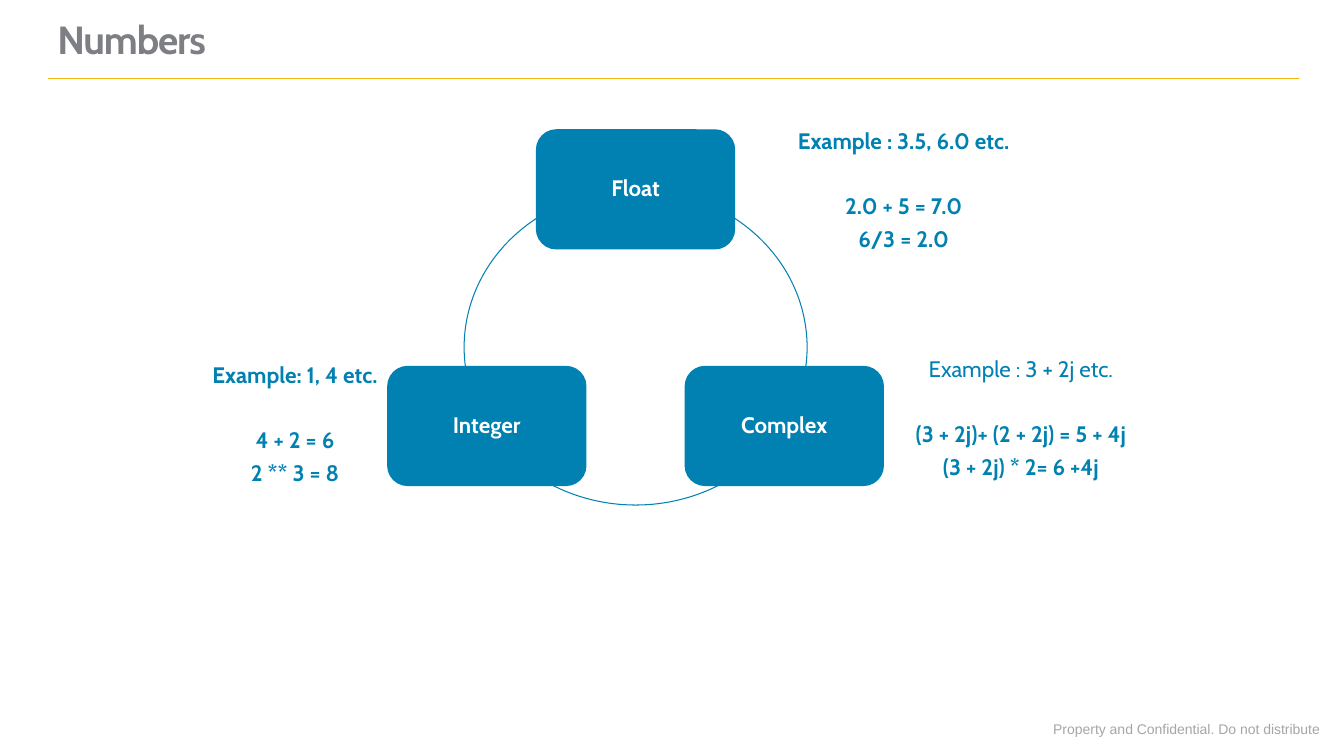
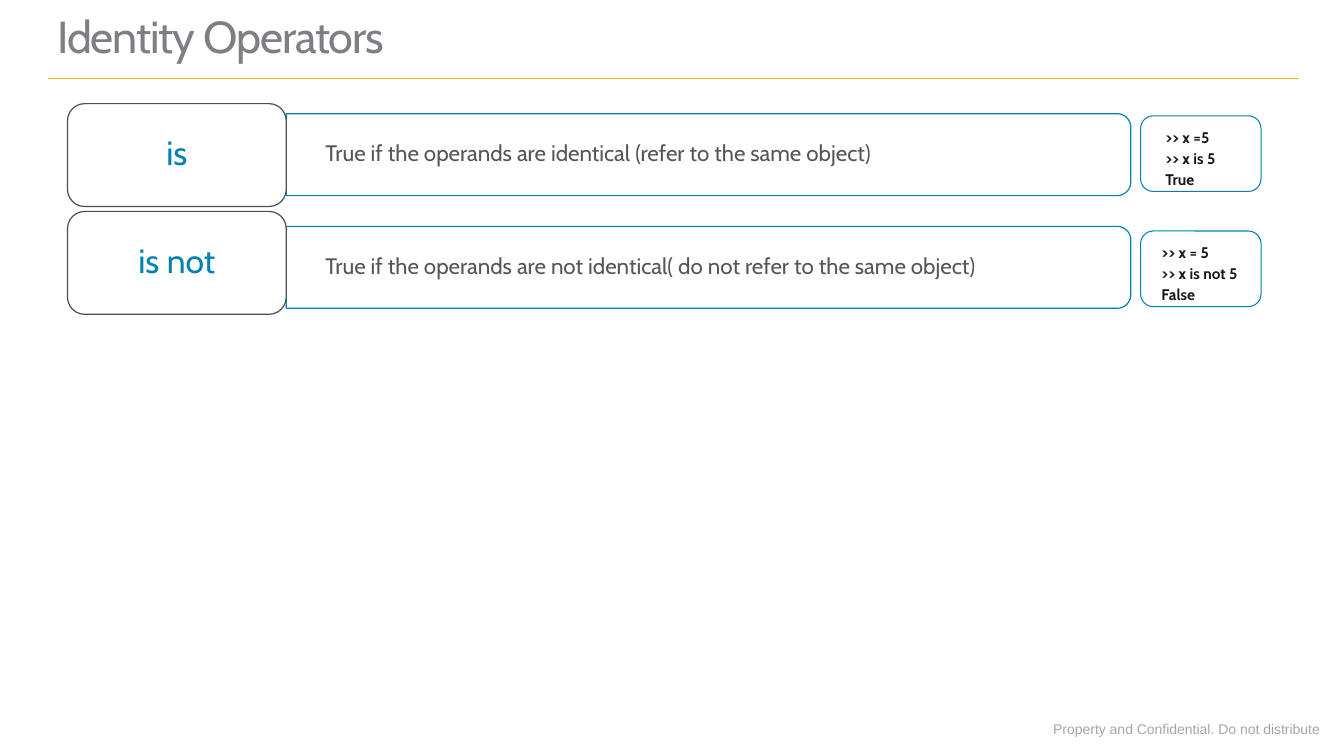
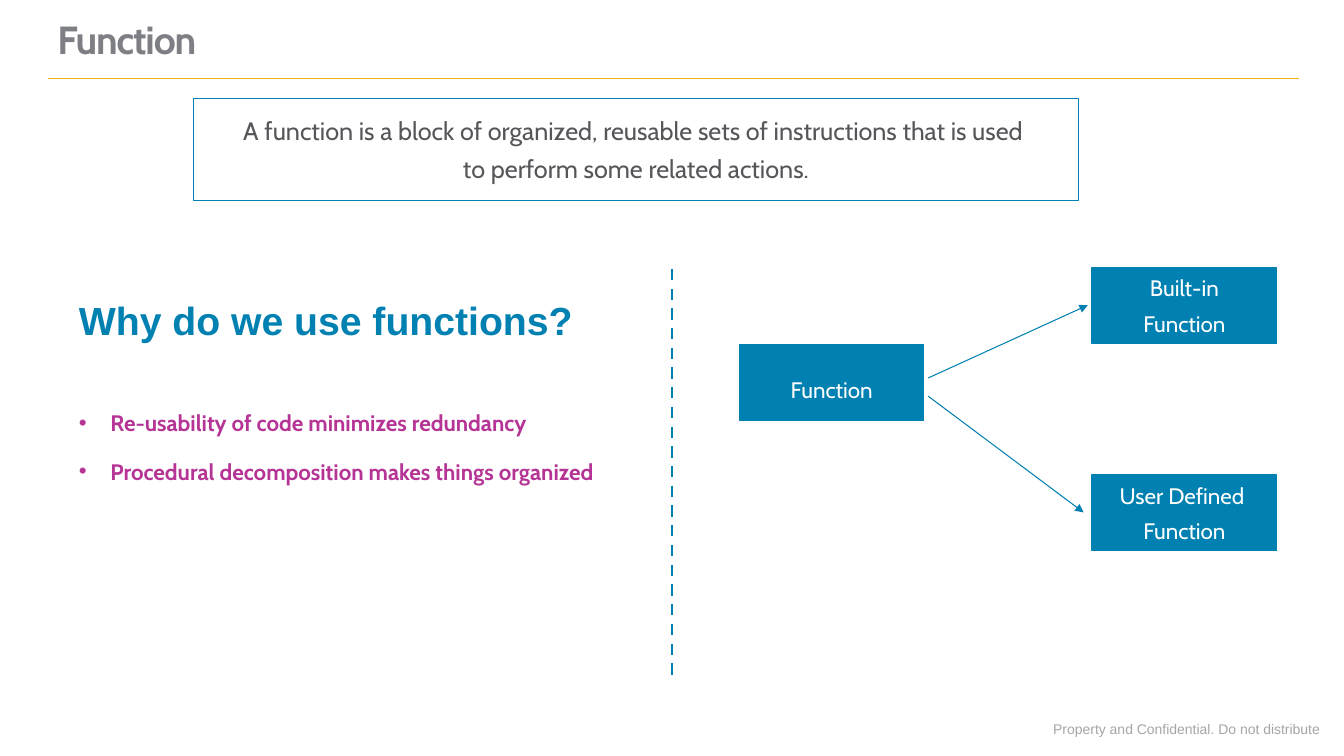
"""Build three slides on Python numbers, identity operators and functions."""
import math

import pptx
import pptx.dml.color
import pptx.enum.dml
import pptx.enum.shapes
import pptx.enum.text
import pptx.oxml.ns
import pptx.util
from lxml import etree

Pt = pptx.util.Pt
SHAPE = pptx.enum.shapes.MSO_SHAPE
ALIGN = pptx.enum.text.PP_ALIGN
ANCHOR = pptx.enum.text.MSO_ANCHOR
qn = pptx.oxml.ns.qn

BLUE, WHITE, GREY, TITLE = "0181B2", "FFFFFF", "55565A", "7E7F85"
GOLD, DARK, BLACK, PURPLE, FOOTER = "F2B411", "4D4E52", "171717", "B53495", "A6A6A6"
PAD = (14.4, 11.5, 14.4, 11.5)


def rgb(color):
    return pptx.dml.color.RGBColor.from_string(color)


def points(*values):
    return [Pt(v) for v in values]


def frame(shape, anchor=ANCHOR.TOP, pad=PAD, wrap=True):
    tf = shape.text_frame
    tf.auto_size = pptx.enum.text.MSO_AUTO_SIZE.NONE
    tf.word_wrap = wrap
    tf.vertical_anchor = anchor
    tf.margin_left, tf.margin_top, tf.margin_right, tf.margin_bottom = points(*pad)
    return tf


def para(tf, text, size, color, bold=False, font="Cabin", align=ALIGN.LEFT,
         spacing=0.9, before=0, after=0):
    p = tf.paragraphs[0] if not tf.paragraphs[0].runs else tf.add_paragraph()
    p.alignment = align
    p.line_spacing = spacing
    p.space_before, p.space_after = points(before, after)
    r = p.add_run()
    r.text = text
    r.font.name, r.font.size, r.font.bold = font, Pt(size), bold
    r.font.color.rgb = rgb(color)
    return p


def bullet(p, char=None, indent=0):
    pPr = p._p.get_or_add_pPr()
    pPr.set("marL", str(Pt(indent)))
    pPr.set("indent", str(-Pt(indent)))
    if char:
        etree.SubElement(pPr, qn("a:buFont")).set("typeface", "Arial")
        etree.SubElement(pPr, qn("a:buChar")).set("char", char)
    else:
        etree.SubElement(pPr, qn("a:buNone"))


def paint(shape, fill, line, width=0.75):
    shape.shadow.inherit = False
    if fill:
        shape.fill.solid()
        shape.fill.fore_color.rgb = rgb(fill)
    else:
        shape.fill.background()
    shape.line.color.rgb = rgb(line)
    shape.line.width = Pt(width)
    return shape


def block(s, kind, box, fill, line, width=0.75):
    return paint(s.shapes.add_shape(kind, *points(*box)), fill, line, width)


def rule(s, start, end, color, width=0.75, dash=False, arrow=False):
    c = s.shapes.add_connector(pptx.enum.shapes.MSO_CONNECTOR.STRAIGHT, *points(*start, *end))
    c.line.color.rgb = rgb(color)
    c.line.width = Pt(width)
    if dash:
        c.line.dash_style = pptx.enum.dml.MSO_LINE.DASH
    if arrow:
        etree.SubElement(c.get_or_add_ln(), qn("a:tailEnd")).set("type", "triangle")
    etree.SubElement(c.element.spPr, qn("a:effectLst"))
    return c


def brand_master(prs, s):
    footer = s.shapes.add_textbox(*points(745.2, 511.2, 206.6, 19.4))
    tf = frame(footer, pad=(7.2, 3.6, 7.2, 3.6), wrap=False)
    para(tf, "Property and Confidential. Do not distribute", 10, FOOTER, font="Arial", spacing=1.0)
    line = rule(s, (34.5, 56), (928, 56), GOLD)
    for number, shape in enumerate((footer, line), 101):
        shape.element.xpath(".//p:cNvPr")[0].set("id", str(number))
        prs.slide_master.shapes.element.append(shape.element)


def new_slide(prs, layout, title, size=28, bold=True):
    s = prs.slides.add_slide(prs.slide_layouts.get_by_name(layout))
    shape = s.shapes.title
    shape.left, shape.top, shape.width, shape.height = points(29.5, 0, 720, 52.5)
    tf = frame(shape, ANCHOR.BOTTOM, (11.5, 7.2, 11.5, 7.2))
    p = para(tf, title, size, TITLE, bold)
    p.runs[0]._r.get_or_add_rPr().set("spc", "-80")
    return s


def number_cycle(s, box):
    x, y, w, h = box
    card_w, card_h = 141.5, 85
    block(s, SHAPE.OVAL, (x + w / 2 - 122.5, y + 42.5, 245, 225.5), None, BLUE)
    cards = [("Float", (w - card_w) / 2, 0),
             ("Complex", w - card_w, h - card_h),
             ("Integer", 0, h - card_h)]
    for name, dx, dy in cards:
        card = block(s, SHAPE.ROUNDED_RECTANGLE, (x + dx, y + dy, card_w, card_h), BLUE, BLUE, 0.85)
        tf = frame(card, ANCHOR.MIDDLE, (9.4,) * 4)
        para(tf, name, 16, WHITE, True, align=ALIGN.CENTER)


def example(s, box, heading, sums, bold=True):
    tf = frame(s.shapes.add_textbox(*points(*box)))
    para(tf, heading, 16, BLUE, bold, align=ALIGN.CENTER, after=6)
    for i, text in enumerate(sums):
        para(tf, text, 16, BLUE, True, align=ALIGN.CENTER, before=0 if i else 23.5, after=6)


def right_rounded(s, box, radius=9.7, steps=8):
    x, y, w, h = box
    turns = [math.pi / 2 * i / steps for i in range(steps + 1)]
    cx = x + w - radius
    top = [(cx + radius * math.sin(a), y + radius - radius * math.cos(a)) for a in turns]
    bottom = [(cx + radius * math.cos(a), y + h - radius + radius * math.sin(a)) for a in turns]
    outline = [points(*pt) for pt in top + bottom + [(x, y + h)]]
    builder = s.shapes.build_freeform(Pt(x), Pt(y))
    builder.add_line_segments(outline, close=True)
    return paint(builder.convert_to_shape(), WHITE, BLUE, 0.85)


def operator_row(s, box, label_dy, code_dy, code_pad, name, meaning, code):
    x, y, w, h = box
    label_w, code_w = 156.25, 86
    bar = right_rounded(s, (x + label_w, y, w - label_w - code_w - 7, h))
    para(frame(bar, ANCHOR.MIDDLE, (28, 4.3, 7.2, 4.3)), meaning, 16, GREY)
    label = block(s, SHAPE.ROUNDED_RECTANGLE, (x, y + label_dy, label_w, 73.5), WHITE, DARK, 0.85)
    para(frame(label, ANCHOR.MIDDLE), name, 24, BLUE, align=ALIGN.CENTER)
    sample = block(s, SHAPE.ROUNDED_RECTANGLE, (x + w - code_w, y + code_dy, code_w, 54), None, BLUE)
    tf = frame(sample, pad=(code_pad, 7.5, 0, 0))
    for text in code:
        para(tf, text, 11, BLACK, True, after=3)


def definition(s, box, lines):
    tf = frame(block(s, SHAPE.RECTANGLE, box, None, BLUE))
    for text in lines:
        para(tf, text, 18, GREY, align=ALIGN.CENTER, spacing=1.0, after=6)


def reasons(s, box, heading, items):
    body = s.placeholders[1]
    body.left, body.top, body.width, body.height = points(*box)
    tf = frame(body)
    bullet(para(tf, heading, 28, BLUE, True, "Arial", after=6))
    for i, text in enumerate(items):
        p = para(tf, text, 16, PURPLE, True, spacing=1.5, before=0 if i else 31, after=6)
        bullet(p, "•", 22.5)


def function_tree(s, box):
    x, y, w, h = box
    node_w, node_h = 132, 54.5
    nodes = [(0, 55, ["Function"], 1.5),
             (w - node_w, h - node_h, ["User Defined ", "Function"], 1.0),
             (w - node_w, 0, ["Built-in", "Function"], 1.0)]
    for dx, dy, lines, spacing in nodes:
        node = block(s, SHAPE.RECTANGLE, (x + dx, y + dy, node_w, node_h), BLUE, BLUE)
        tf = frame(node, ANCHOR.MIDDLE)
        for i, text in enumerate(lines, 1):
            para(tf, text, 16, WHITE, align=ALIGN.CENTER, spacing=spacing,
                 after=6 if i < len(lines) else 0)
    for y1, x2, y2 in ((79, 249, 27), (92, 246, 175)):
        rule(s, (x + 135, y + y1), (x + x2, y + y2), BLUE, arrow=True)


def numbers_slide(prs):
    s = new_slide(prs, "Title Only", "Numbers")
    brand_master(prs, s)
    number_cycle(s, (277, 92.75, 354, 254))
    example(s, (129.5, 248.5, 162.5, 129), "Example: 1, 4 etc.", ["4 + 2 = 6", "2 ** 3 = 8"])
    example(s, (522, 81.5, 247, 111), "Example : 3.5, 6.0 etc.", ["2.0 + 5 = 7.0", "6/3 = 2.0"])
    example(s, (612, 244, 234.5, 111), "Example : 3 + 2j etc.",
            ["(3 + 2j)+ (2 + 2j) = 5 + 4j", "(3 + 2j) * 2= 6 +4j"], bold=False)


def identity_slide(prs):
    s = new_slide(prs, "Title Only", "Identity Operators", 32, False)
    operator_row(s, (48.25, 81.25, 852.5, 58.5), -7.25, 1.5, 15, "is",
                 "True if the operands are identical (refer to the same object)",
                 [">> x =5", ">> x is 5", "True"])
    operator_row(s, (48.25, 161.75, 852.5, 58.5), -10.75, 3.25, 12.25, "is not",
                 "True if the operands are not identical( do not refer to the same object)",
                 [">> x = 5", ">> x is not 5", "False"])


def function_slide(prs):
    s = new_slide(prs, "Title and Content", "Function")
    definition(s, (138, 70.5, 632.5, 73),
               ["A function is a block of organized, reusable sets of instructions that is used ",
                "to perform some related actions."])
    rule(s, (480, 192), (480, 486), BLUE, 2, dash=True)
    reasons(s, (42, 203.75, 412.5, 152.5), "Why do we use functions?",
            ["Re-usability of code minimizes redundancy",
             "Procedural decomposition makes things organized"])
    function_tree(s, (528, 191, 384, 202.5))


def main():
    prs = pptx.Presentation()
    prs.slide_width, prs.slide_height = points(960, 540)
    numbers_slide(prs)
    identity_slide(prs)
    function_slide(prs)
    prs.save("out.pptx")


if __name__ == "__main__":
    main()
